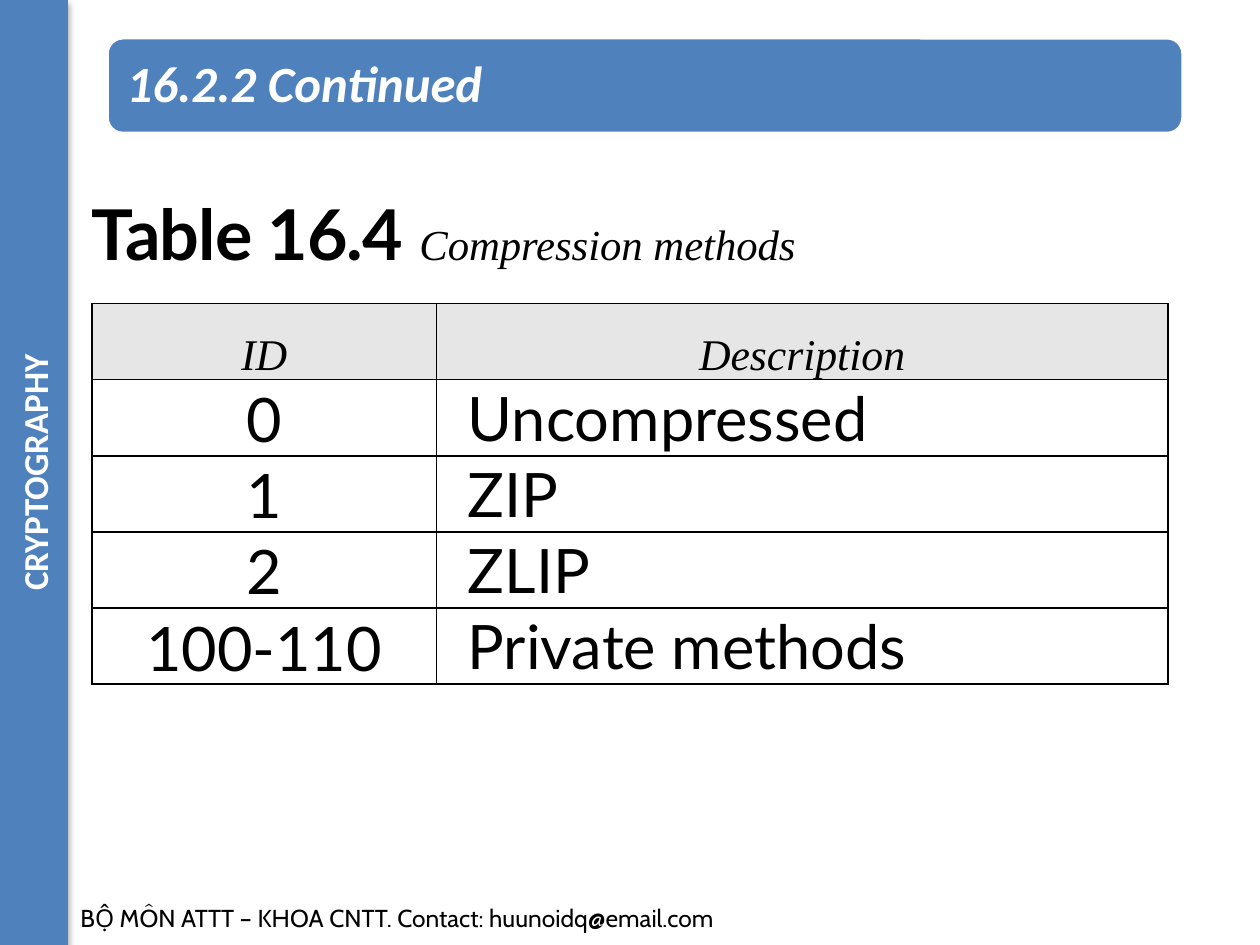
from dataclasses import dataclass

from lxml import etree
from pptx import Presentation
from pptx.dml.color import RGBColor
from pptx.enum.shapes import MSO_SHAPE
from pptx.enum.text import MSO_ANCHOR, PP_ALIGN
from pptx.oxml.ns import qn
from pptx.util import Inches, Pt

RECT, ROUND = MSO_SHAPE.RECTANGLE, MSO_SHAPE.ROUNDED_RECTANGLE
MIDDLE, BOTTOM = MSO_ANCHOR.MIDDLE, MSO_ANCHOR.BOTTOM
LEFT, CENTER = PP_ALIGN.LEFT, PP_ALIGN.CENTER

# The slide is a grid of 100 columns by 75 rows of square units
COLS, ROWS = 100, 75
UNIT = Inches(0.1)


@dataclass(frozen=True)
class Theme:
    blue: str = "4F81BD"
    white: str = "FFFFFF"
    black: str = "000000"
    grey: str = "E6E6E6"
    sans: str = "Calibri"
    lato: str = "Lato"
    serif: str = "Times New Roman"
    foot: str = "Cabin"
    title: float = 29
    label: float = 40
    name: float = 24.4
    head: float = 25
    body: float = 35
    side: float = 20
    small: float = 14


T = Theme()


@dataclass(frozen=True)
class Box:
    x: float
    y: float
    w: float
    h: float

    def emu(self):
        return [int(n * UNIT) for n in (self.x, self.y, self.w, self.h)]

    def inset(self, dx, dy):
        return Box(self.x + dx, self.y + dy, self.w - 2 * dx, self.h - 2 * dy)


def style(font, face, size, color, bold=False, italic=False):
    font.name, font.size = face, Pt(size)
    font.bold, font.italic = bold, italic
    font.color.rgb = RGBColor.from_string(color)


def add(parent, tag, **attrs):
    return etree.SubElement(parent, qn(tag), attrs)


def margins(part, size):
    part.margin_left = part.margin_right = size
    part.margin_top = part.margin_bottom = size


def add_block(slide, kind, box):
    shape = slide.shapes.add_shape(kind, *box.emu())
    shape.shadow.inherit = False
    shape.fill.solid()
    shape.fill.fore_color.rgb = RGBColor.from_string(T.blue)
    return shape


def add_text(slide, box, wrap=True):
    frame = slide.shapes.add_textbox(*box.emu()).text_frame
    frame.word_wrap = wrap
    return frame


def add_side(slide, box, text):
    bar = add_block(slide, RECT, box)
    bar.line.fill.background()
    # Soft shadow below the bar
    glow = add(bar.element.spPr.find(qn("a:effectLst")), "a:outerShdw",
               blurRad=str(Pt(3.5)), dist=str(Pt(2.2)), dir="5400000", rotWithShape="0")
    add(add(glow, "a:srgbClr", val=T.black), "a:alpha", val="32000")
    # Label reads upwards
    frame = bar.text_frame
    frame.vertical_anchor = MIDDLE
    frame._txBody.bodyPr.set("vert", "vert270")
    line = frame.paragraphs[0]
    line.text, line.alignment = text, CENTER
    style(line.font, T.sans, T.side, T.white, bold=True)


def add_title(slide, box, text):
    bar = add_block(slide, ROUND, box)
    bar.line.color.rgb = RGBColor.from_string(T.white)
    bar.line.width = Pt(2)
    frame = add_text(slide, box.inset(0.35, 0.35))
    margins(frame, Inches(0.12))
    frame.vertical_anchor = MIDDLE
    line = frame.paragraphs[0]
    line.text, line.line_spacing = text, 0.9
    style(line.font, T.sans, T.title, T.white, bold=True, italic=True)


def add_caption(slide, box, label, name):
    frame = add_text(slide, box, wrap=False)
    margins(frame, 0)
    line = frame.paragraphs[0]
    run = line.add_run()
    run.text = label
    style(run.font, T.lato, T.label, T.black, bold=True)
    run.font._element.set("spc", "-50")
    run = line.add_run()
    run.text = name
    style(run.font, T.serif, T.name, T.black, italic=True)


def set_edges(cell):
    props = cell._tc.get_or_add_tcPr()
    for at, side in enumerate(("a:lnL", "a:lnR", "a:lnT", "a:lnB")):
        edge = etree.Element(qn(side), w=str(Pt(1)))
        add(add(edge, "a:solidFill"), "a:srgbClr", val=T.black)
        props.insert(at, edge)  # edges come before the fill


def add_cell(cell, text, head, first):
    margins(cell, 0)
    cell.vertical_anchor = BOTTOM if head or first else MIDDLE
    cell.fill.solid()
    cell.fill.fore_color.rgb = RGBColor.from_string(T.grey if head else T.white)
    set_edges(cell)
    line = cell.text_frame.paragraphs[0]
    line.text = text
    line.alignment = CENTER if head or first else LEFT
    if head:
        style(line.font, T.serif, T.head, T.black, italic=True)
    else:
        style(line.font, T.lato, T.body, T.black)
        if not first:
            line._p.get_or_add_pPr().set("marL", str(Inches(0.25)))


def add_grid(slide, box, data, share):
    table = slide.shapes.add_table(len(data), 2, *box.emu()).table
    for col, part in zip(table.columns, (share, 1 - share)):
        col.width = int(box.w * part * UNIT)
    for r, row in enumerate(data):
        for c, text in enumerate(row):
            add_cell(table.cell(r, c), text, r == 0, c == 0)


def add_footer(slide, box, text):
    line = add_text(slide, box).paragraphs[0]
    line.text = text
    style(line.font, T.foot, T.small, T.black)


def main():
    deck = Presentation()
    deck.slide_width, deck.slide_height = COLS * UNIT, ROWS * UNIT
    slide = deck.slides.add_slide(deck.slide_layouts[6])
    side, left = 5.4, 7.3

    add_caption(slide, Box(left, 15.1, 86.6, 7.6), "Table 16.4 ", "Compression methods")
    methods = [("ID", "Description"), ("0", "Uncompressed"), ("1", "ZIP"),
               ("2", "ZLIP"), ("100-110", "Private methods")]
    add_grid(slide, Box(left, 24.1, 85.4, 30.2), methods, share=0.32)
    add_side(slide, Box(0, 0, side, ROWS), "CRYPTOGRAPHY")
    add_footer(slide, Box(side, 71.2, COLS - side, 3.4),
               "BỘ MÔN ATTT – KHOA CNTT. Contact: huunoidq@email.com")
    add_title(slide, Box(8.5, 3, 85.4, 7.6), "16.2.2 Continued")
    deck.save("out.pptx")


if __name__ == "__main__":
    main()
